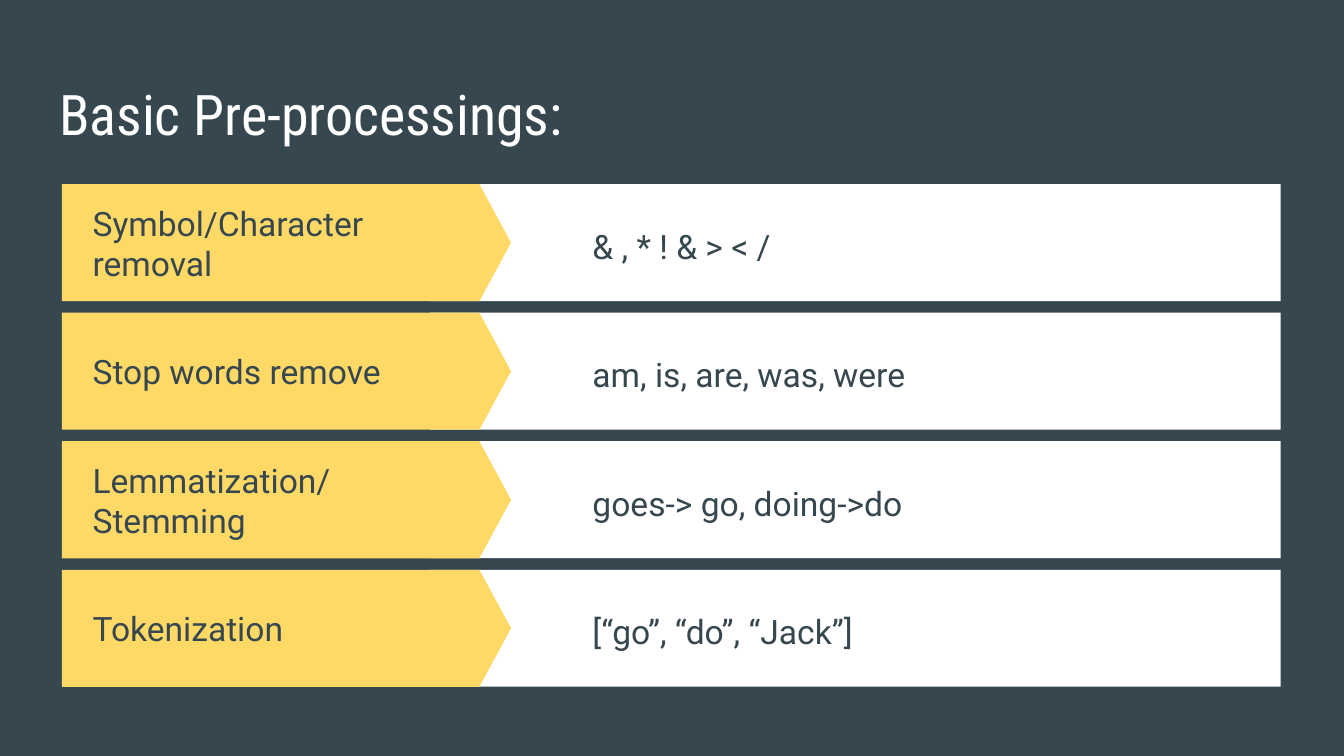
from lxml.etree import SubElement
from pptx import Presentation
from pptx.dml.color import RGBColor
from pptx.enum.shapes import MSO_SHAPE as Shape
from pptx.enum.text import MSO_ANCHOR as Anchor, MSO_AUTO_SIZE as AutoSize, PP_ALIGN as Align
from pptx.oxml.ns import qn
from pptx.util import Pt

# Content: step label lines, then the example
TITLE = "Basic Pre-processings:"
STEPS = [
    (["Symbol/Character removal"], "& , * ! & > < /"),
    (["Stop words remove"], "am, is, are, was, were"),
    (["Lemmatization/", "Stemming"], "goes-> go, doing->do"),
    (["Tokenization"], "[“go”, “do”, “Jack”]"),
]

# Style and layout, in points
COLORS = {"slate": "37474F", "yellow": "FFD966", "white": "FFFFFF"}
BODY_FONT, TITLE_FONT = "Roboto", "Roboto Condensed"
ROW_TOP, ROW_HEIGHT, ROW_STEP = 98.7, 62.7, 68.85
BAR_LEFT, BAR_WIDTH = 230.4, 455.76
ARROW_LEFT, ARROW_WIDTH = 33.2, 240.6
LABEL_LEFT, LABEL_WIDTH = 42.4, 190.8
EXAMPLE_LEFT, EXAMPLE_WIDTH = 274.3, 402.5
COMPARISON_LAYOUT = 4


def color(name):
    return RGBColor.from_string(COLORS[name])


def place(box, left, top, width, height):
    box.left, box.top, box.width, box.height = Pt(left), Pt(top), Pt(width), Pt(height)


def write(box, lines, font, size, ink, anchor=Anchor.MIDDLE, indent=0, spacing=1.0):
    frame = box.text_frame
    frame.word_wrap = True
    frame.auto_size = AutoSize.NONE
    frame.vertical_anchor = anchor
    frame.margin_left = frame.margin_right = Pt(7.2)
    frame.margin_top = frame.margin_bottom = Pt(7.2)
    for number, line in enumerate(lines):
        para = frame.add_paragraph() if number else frame.paragraphs[0]
        para.alignment = Align.LEFT
        para.line_spacing = spacing
        para.space_before = Pt(0)
        properties = para._p.get_or_add_pPr()
        properties.set("marL", str(Pt(indent)))
        properties.set("indent", "0")
        SubElement(properties, qn("a:buNone"))
        span = para.add_run()
        span.text = line
        span.font.name = font
        span.font.size = Pt(size)
        span.font.bold = False
        span.font.color.rgb = color(ink)


def add_block(group, kind, left, top, width, fill):
    block = group.shapes.add_shape(kind, Pt(left), Pt(top), Pt(width), Pt(ROW_HEIGHT))
    block.shadow.inherit = False
    block.fill.solid()
    block.fill.fore_color.rgb = color(fill)
    block.line.fill.background()
    return block


deck = Presentation()
deck.slide_width, deck.slide_height = Pt(720), Pt(405)
page = deck.slides.add_slide(deck.slide_layouts[COMPARISON_LAYOUT])
page.background.fill.solid()
page.background.fill.fore_color.rgb = color("slate")

# Title
title = page.shapes.title
place(title, 24.5, 35.3, 671, 45.4)
write(title, [TITLE], TITLE_FONT, 30, "white", anchor=Anchor.TOP)

# Rows: the four body placeholders of the layout hold the step labels
labels = [box for box in page.placeholders if 1 <= box.placeholder_format.idx <= len(STEPS)]
for row, (label, (lines, example)) in enumerate(zip(labels, STEPS)):
    top = ROW_TOP + row * ROW_STEP

    # White bar with a yellow arrow over its left end
    group = page.shapes.add_group_shape()
    add_block(group, Shape.RECTANGLE, BAR_LEFT, top, BAR_WIDTH, "white")
    arrow = add_block(group, Shape.PENTAGON, ARROW_LEFT, top, ARROW_WIDTH, "yellow")
    arrow.adjustments[0] = 0.27

    # Step label, brought in front of the arrow
    place(label, LABEL_LEFT, top, LABEL_WIDTH, ROW_HEIGHT)
    write(label, lines, BODY_FONT, 18, "slate")
    page.shapes._spTree.append(label._element)

    # Example
    box = page.shapes.add_textbox(Pt(EXAMPLE_LEFT), Pt(top), Pt(EXAMPLE_WIDTH), Pt(ROW_HEIGHT))
    write(box, [example], BODY_FONT, 18, "slate", indent=36, spacing=1.15)

# Remove placeholders left empty
for box in list(page.placeholders):
    if not box.text_frame.text:
        box._element.getparent().remove(box._element)

deck.save("out.pptx")
